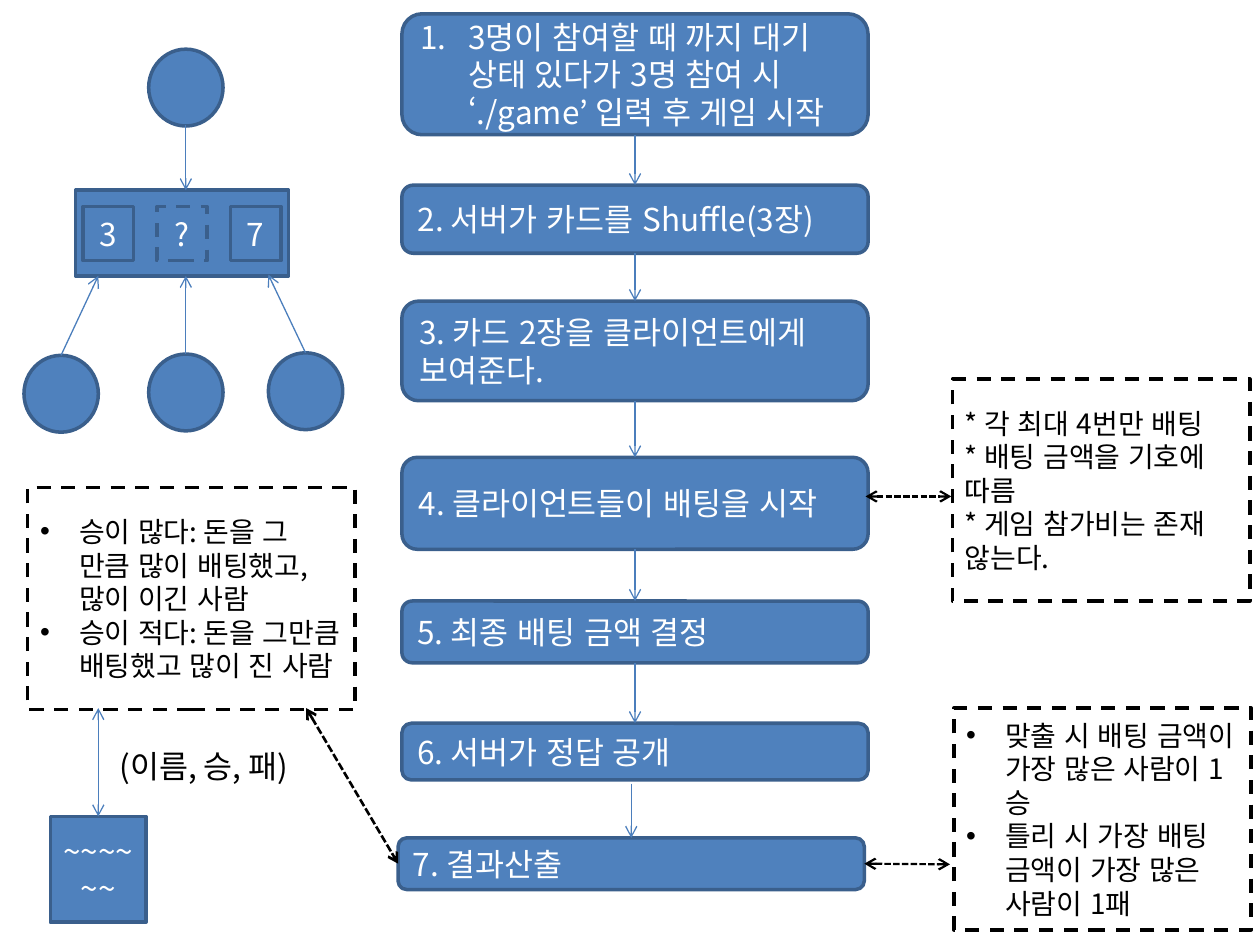
from pptx import Presentation
from pptx import util as u
from pptx.dml.color import RGBColor
from pptx.enum import dml, shapes, text
from pptx.oxml.ns import qn
from lxml import etree

THEME = dict(font="Noto Sans CJK KR", big=18, small=16, blue="4F81BD", edge="3A5F8C",
             wire="4B7EBC", white="FFFFFF", black="000000")
KIND = shapes.MSO_SHAPE
DASH = dml.MSO_LINE

deck = Presentation()
deck.slide_width, deck.slide_height = u.Inches(10), u.Inches(7.5)
slide = deck.slides.add_slide(deck.slide_layouts[6])
cell = deck.slide_width / 100  # grid of 100 columns by 75 rows


def put(host, at, lines=(), kind=KIND.RECTANGLE, fill="blue", edge="edge", ink="white",
        size="big", dash=None, align="LEFT", mark=None, indent=0.31):
    """Place a shape on the grid with its text; kind None gives a plain text box."""
    box = [round(n * cell) for n in at]
    if kind is None:
        shape = host.add_textbox(*box)
    else:
        shape = host.add_shape(kind, *box)
        shape.shadow.inherit = False
        shape.fill.solid()
        shape.fill.fore_color.rgb = RGBColor.from_string(THEME[fill])
        shape.line.color.rgb = RGBColor.from_string(THEME[edge])
        shape.line.width = u.Pt(2)
        if dash:
            shape.line.dash_style = dash
        shape.text_frame.vertical_anchor = text.MSO_ANCHOR.MIDDLE
    frame = shape.text_frame
    frame.word_wrap = True
    for i, line in enumerate(lines):
        para = frame.paragraphs[0] if i == 0 else frame.add_paragraph()
        para.alignment = getattr(text.PP_ALIGN, align)
        run = para.add_run()
        run.text = line
        run.font.size = u.Pt(THEME[size])
        run.font.name = THEME["font"]
        run.font.color.rgb = RGBColor.from_string(THEME[ink])
        look = run._r.get_or_add_rPr()
        look.set("lang", "ko-KR")
        look.set("altLang", "en-US")
        etree.SubElement(look, qn("a:ea"), typeface=THEME["font"])
        if mark:
            prop = para._p.get_or_add_pPr()
            prop.set("marL", str(u.Inches(indent)))
            prop.set("indent", str(-u.Inches(indent)))
            for tag, key, val in mark:
                etree.SubElement(prop, qn(tag), {key: val})
    return shape


def wire(host, start, end, color="wire", width=0.75, dash=None, both=False, tie=None, join=None):
    """Draw an arrow; tie and join are (shape, side) pairs for its two ends."""
    line = host.add_connector(shapes.MSO_CONNECTOR.STRAIGHT,
                              *[round(n * cell) for n in (*start, *end)])
    if tie:
        line.begin_connect(*tie)
    if join:
        line.end_connect(*join)
    line.line.color.rgb = RGBColor.from_string(THEME[color])
    line.line.width = u.Pt(width)
    if dash:
        line.line.dash_style = dash
    for tag in ("a:headEnd", "a:tailEnd") if both else ("a:tailEnd",):
        etree.SubElement(line.line._get_or_add_ln(), qn(tag), type="arrow")
    etree.SubElement(line._element.spPr, qn("a:effectLst"))


# Flow of the game
flow = [
    (31.9, 1.1, 9.6, "3명이 참여할 때 까지 대기 상태 있다가 3명 참여 시 ‘./game’ 입력 후 게임 시작"),
    (31.9, 14.7, 5.4, "2. 서버가 카드를 Shuffle(3장)"),
    (31.9, 23.9, 7.9, "3. 카드 2장을 클라이언트에게 보여준다."),
    (31.9, 36.3, 7.3, "4. 클라이언트들이 배팅을 시작"),
    (31.9, 47.7, 4.9, "5. 최종 배팅 금액 결정"),
    (31.9, 57.4, 4.5, "6. 서버가 정답 공개"),
    (31.6, 66.5, 4.1, "7. 결과산출"),
]
number = [("a:buFont", "typeface", "+mj-lt"), ("a:buAutoNum", "type", "arabicPeriod")]
steps = [put(slide.shapes, (x, y, 37, h), [words], KIND.ROUNDED_RECTANGLE,
             mark=None if i else number, indent=0.38)
         for i, (x, y, h, words) in enumerate(flow)]
steps[0].text_frame.margin_right = u.Inches(0.02)
for above, below in zip(steps[:-1], steps[1:-1]):
    wire(slide.shapes, (50, 0), (50, 1), tie=(above, 2), join=(below, 0))
wire(slide.shapes, (50.1, 62.2), (50.1, 66.5), join=(steps[-1], 0))

# Server, table and clients
game = slide.shapes.add_group_shape().shapes
put(game, (11.8, 3.9, 5.9, 6.1), kind=KIND.OVAL)
put(game, (6, 15.1, 16.9, 6.8))
wire(game, (14.75, 9.9), (14.75, 15.1))
for x, y, goal in ((1.9, 28.2, (7.8, 21.9)), (11.8, 28.1, (14.75, 21.9)), (21.3, 28, (21.3, 21.8))):
    client = put(game, (x, y, 5.9, 6.1), kind=KIND.OVAL)
    wire(game, (x, y), goal, tie=(client, 0))
for i, card in enumerate("3?7"):
    put(game, (6.6 + 5.85 * i, 16.4, 4, 4.3), [card], align="CENTER",
        dash=DASH.DASH if card == "?" else None)

# Notes
dot = [("a:buFont", "typeface", "Arial"), ("a:buChar", "char", "•")]
notes = [
    ((75.6, 30.1, 23.6, 17.6), None,
     ["* 각 최대 4번만 배팅", "* 배팅 금액을 기호에 따름", "* 게임 참가비는 존재 않는다."]),
    ((75.7, 56.2, 23.6, 17.6), dot,
     ["맞출 시 배팅 금액이 가장 많은 사람이 1승", "틀리 시 가장 배팅 금액이 가장 많은 사람이 1패"]),
    ((2.2, 38.7, 26, 17.6), dot,
     ["승이 많다: 돈을 그 만큼 많이 배팅했고, 많이 이긴 사람",
      "승이 적다: 돈을 그만큼 배팅했고 많이 진 사람"]),
]
for at, mark, lines in notes:
    put(slide.shapes, at, lines, fill="white", edge="black", ink="black", size="small",
        dash=DASH.DASH, mark=mark)

# Record file
book = put(slide.shapes, (4, 64.8, 7.6, 8.4), ["~~~~", "~~"], align="CENTER")
wire(slide.shapes, (7.8, 56.2), (7.8, 64.8), both=True, join=(book, 0))
put(slide.shapes, (8.5, 58.8, 18.6, 4), ["(이름, 승, 패)"], kind=None, ink="black")

# Links from the steps to the notes
dots = dict(color="black", dash=DASH.SQUARE_DOT, both=True)
wire(slide.shapes, (68.7, 39.4), (75.5, 39.4), width=1.25, **dots)
wire(slide.shapes, (68.6, 68.6), (75.4, 68.6), width=1.25, tie=(steps[-1], 3), **dots)
wire(slide.shapes, (24.3, 56.2), (31.6, 68.5), width=1.5, join=(steps[-1], 1), **dots)

deck.save("out.pptx")
